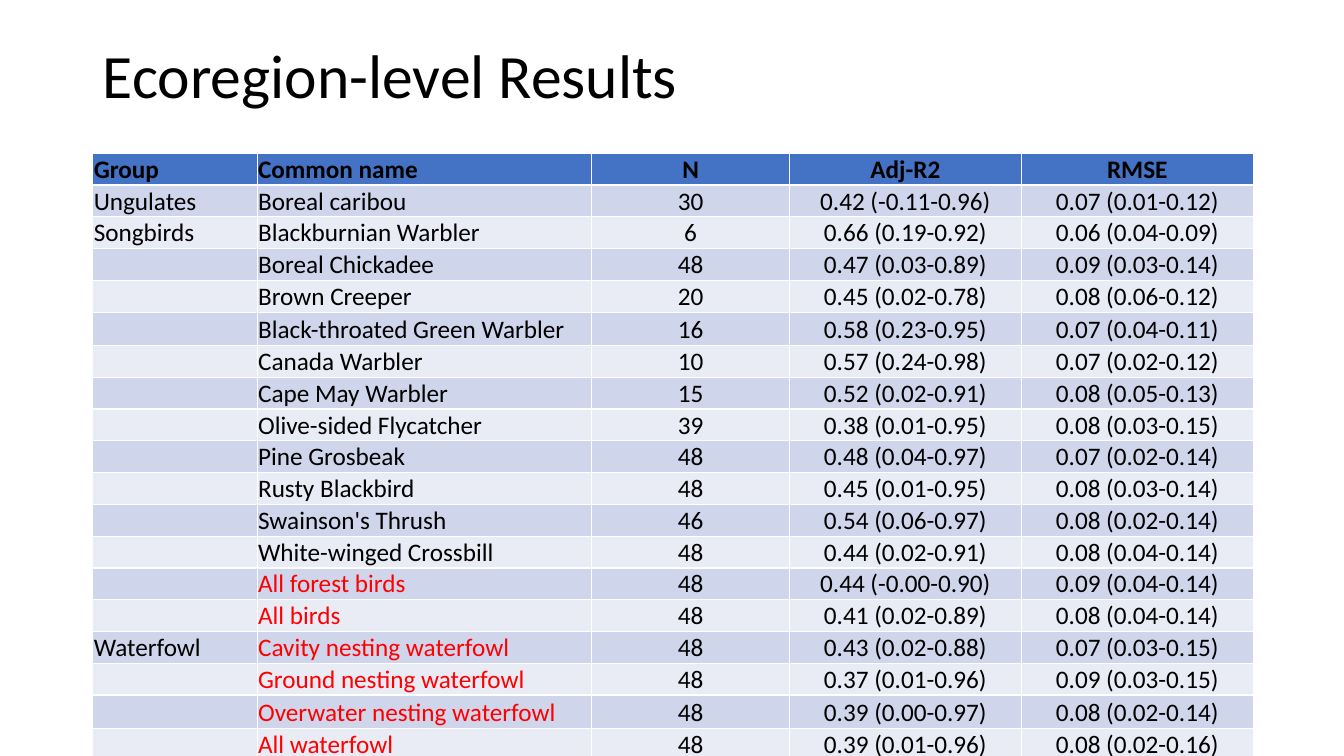
"""Build the ecoregion-level results slide with its species table."""
from dataclasses import dataclass
from typing import NamedTuple

from pptx import Presentation
from pptx.dml.color import RGBColor as RGB
from pptx.enum.text import MSO_ANCHOR as ANCHOR, PP_ALIGN as ALIGN
from pptx.util import Inches, Pt


@dataclass(frozen=True)
class Theme:
    font: str = "Calibri"
    title_size: int = 44
    table_size: int = 18
    text: str = "000000"
    pooled: str = "FF0000"
    header: str = "4472C4"
    bands: tuple[str, str] = ("CFD5EA", "E9EBF5")


class Result(NamedTuple):
    group: str
    name: str
    n: str
    adj_r2: str
    rmse: str
    pooled: bool = False


class Column(NamedTuple):
    width: float
    align: ALIGN


THEME = Theme()
LEFT, WIDTH = Inches(0.92), Inches(11.5)
ROW, TALL_ROW = Inches(0.28), Inches(0.33)
TALL_ROWS = (5, 17)
COLUMNS = [
    Column(1.63, ALIGN.LEFT),
    Column(3.32, ALIGN.LEFT),
    Column(1.96, ALIGN.CENTER),
    Column(2.3, ALIGN.CENTER),
    Column(2.3, ALIGN.CENTER),
]
HEADER = Result("Group", "Common name", "N", "Adj-R2", "RMSE")
RESULTS = [
    Result("Ungulates", "Boreal caribou", "30", "0.42 (-0.11-0.96)", "0.07 (0.01-0.12)"),
    Result("Songbirds", "Blackburnian Warbler", "6", "0.66 (0.19-0.92)", "0.06 (0.04-0.09)"),
    Result("", "Boreal Chickadee", "48", "0.47 (0.03-0.89)", "0.09 (0.03-0.14)"),
    Result("", "Brown Creeper", "20", "0.45 (0.02-0.78)", "0.08 (0.06-0.12)"),
    Result("", "Black-throated Green Warbler", "16", "0.58 (0.23-0.95)", "0.07 (0.04-0.11)"),
    Result("", "Canada Warbler", "10", "0.57 (0.24-0.98)", "0.07 (0.02-0.12)"),
    Result("", "Cape May Warbler", "15", "0.52 (0.02-0.91)", "0.08 (0.05-0.13)"),
    Result("", "Olive-sided Flycatcher", "39", "0.38 (0.01-0.95)", "0.08 (0.03-0.15)"),
    Result("", "Pine Grosbeak", "48", "0.48 (0.04-0.97)", "0.07 (0.02-0.14)"),
    Result("", "Rusty Blackbird", "48", "0.45 (0.01-0.95)", "0.08 (0.03-0.14)"),
    Result("", "Swainson's Thrush", "46", "0.54 (0.06-0.97)", "0.08 (0.02-0.14)"),
    Result("", "White-winged Crossbill", "48", "0.44 (0.02-0.91)", "0.08 (0.04-0.14)"),
    Result("", "All forest birds", "48", "0.44 (-0.00-0.90)", "0.09 (0.04-0.14)", True),
    Result("", "All birds", "48", "0.41 (0.02-0.89)", "0.08 (0.04-0.14)", True),
    Result("Waterfowl", "Cavity nesting waterfowl", "48", "0.43 (0.02-0.88)", "0.07 (0.03-0.15)", True),
    Result("", "Ground nesting waterfowl", "48", "0.37 (0.01-0.96)", "0.09 (0.03-0.15)", True),
    Result("", "Overwater nesting waterfowl", "48", "0.39 (0.00-0.97)", "0.08 (0.02-0.14)", True),
    Result("", "All waterfowl", "48", "0.39 (0.01-0.96)", "0.08 (0.02-0.16)", True),
]


def format_runs(p, size: int, color: str, bold: bool = False) -> None:
    for r in p.runs:
        r.font.name = THEME.font
        r.font.size = Pt(size)
        r.font.bold = bold
        r.font.color.rgb = RGB.from_string(color)


def draw_title(s, text: str) -> None:
    sp = s.shapes.title
    sp.left, sp.top, sp.width, sp.height = LEFT, Inches(0.4), WIDTH, Inches(1.45)
    tf = sp.text_frame
    tf.text = text
    tf.vertical_anchor = ANCHOR.TOP
    p = tf.paragraphs[0]
    p.alignment = ALIGN.LEFT
    p.line_spacing = 0.9
    format_runs(p, THEME.title_size, THEME.text)


def fill_cell(cell, text: str, align: ALIGN, fill: str, color: str, bold: bool) -> None:
    cell.margin_left = cell.margin_right = cell.margin_top = Inches(0.01)
    cell.margin_bottom = 0
    cell.vertical_anchor = ANCHOR.BOTTOM
    cell.fill.solid()
    cell.fill.fore_color.rgb = RGB.from_string(fill)
    cell.text = text
    p = cell.text_frame.paragraphs[0]
    p.alignment = align
    format_runs(p, THEME.table_size, color, bold)


def draw_results(s, rows: list[Result]) -> None:
    frame = s.shapes.add_table(len(rows), len(COLUMNS), LEFT, Inches(1.52), WIDTH, Inches(5.88))
    table = frame.table
    for col, column in zip(table.columns, COLUMNS):
        col.width = Inches(column.width)
    for i, result in enumerate(rows):
        table.rows[i].height = TALL_ROW if i in TALL_ROWS else ROW
        is_header = i == 0
        fill = THEME.header if is_header else THEME.bands[(i - 1) % 2]
        for j, column in enumerate(COLUMNS):
            is_pooled_name = result.pooled and j == 1
            color = THEME.pooled if is_pooled_name else THEME.text
            fill_cell(table.cell(i, j), result[j], column.align, fill, color, is_header)


def main() -> None:
    prs = Presentation()
    prs.slide_width, prs.slide_height = Inches(13.33), Inches(7.5)
    s = prs.slides.add_slide(prs.slide_layouts[5])
    draw_title(s, "Ecoregion-level Results")
    draw_results(s, [HEADER, *RESULTS])
    prs.save("out.pptx")


main()
